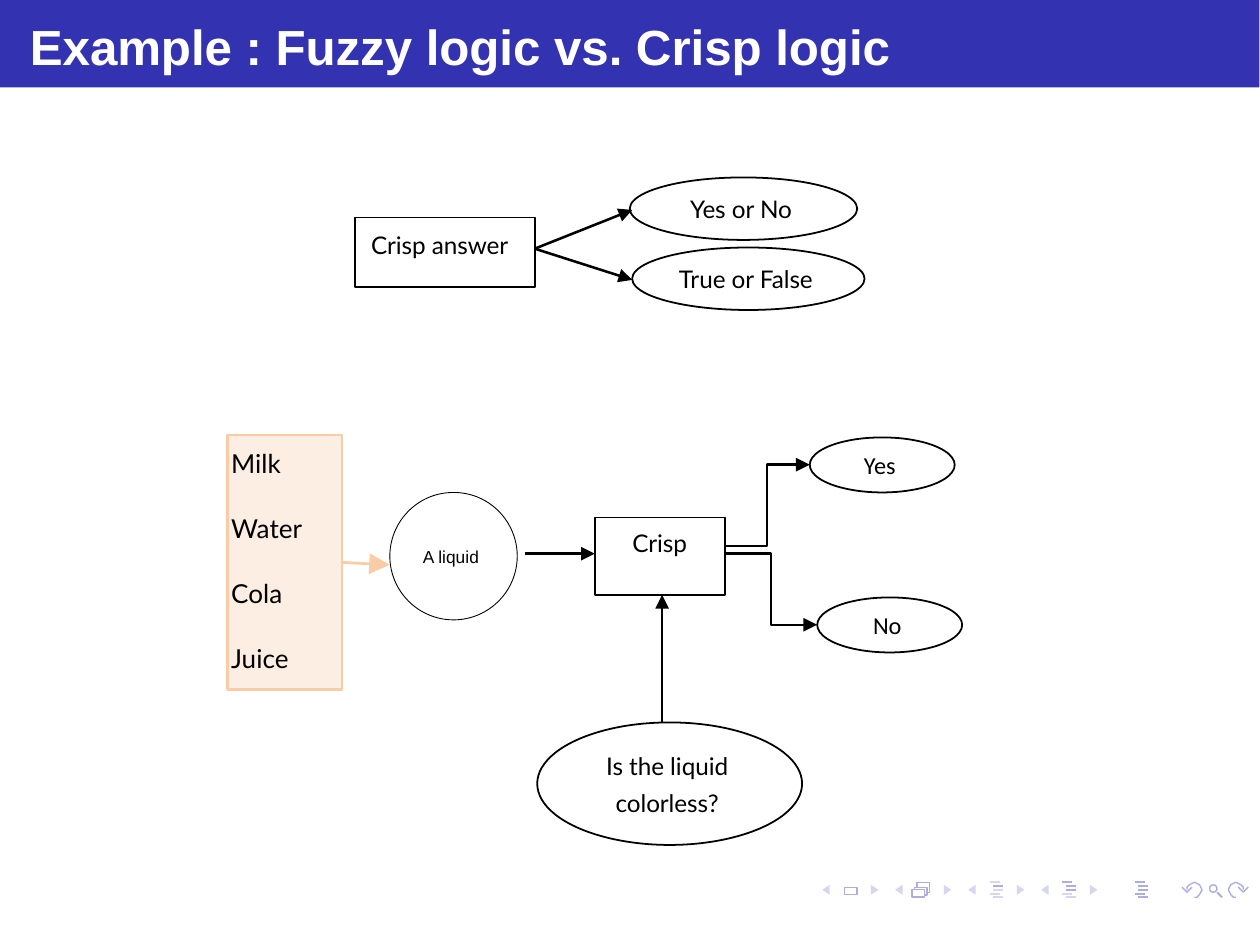
import lxml.etree
import pptx
import pptx.dml.color
import pptx.enum.shapes
import pptx.enum.text
import pptx.oxml.ns
import pptx.util

COLORS = {
    "header": "3333B2", "title": "FFFFFF", "ink": "000000",
    "list fill": "FCEEE2", "list line": "F9CCA7",
    "icon": "ADADE0", "pale icon": "D6D6EF",
}
SLIDE_WIDTH = pptx.util.Pt(363)
SLIDE_HEIGHT = pptx.util.Pt(272.5)
COLUMNS, ROWS = 504.17, 378.47
SHAPES = pptx.enum.shapes.MSO_SHAPE
CONNECTORS = pptx.enum.shapes.MSO_CONNECTOR
ALIGN = pptx.enum.text.PP_ALIGN
ANCHOR = pptx.enum.text.MSO_ANCHOR


def across(columns):
    return round(SLIDE_WIDTH * columns / COLUMNS)


def down(rows):
    return round(SLIDE_HEIGHT * rows / ROWS)


def color(name):
    return pptx.dml.color.RGBColor.from_string(COLORS[name])


def paint(shape, fill=None, line=None, width=0.5):
    shape.shadow.inherit = False
    if fill:
        shape.fill.solid()
        shape.fill.fore_color.rgb = color(fill)
    else:
        shape.fill.background()
    if line:
        shape.line.color.rgb = color(line)
        shape.line.width = pptx.util.Pt(width)
    else:
        shape.line.fill.background()


def add_box(slide, region, place, preset=SHAPES.RECTANGLE, **style):
    left, top, width, height = place
    shape = slide.shapes.add_shape(
        preset, across(region[0] + left), down(region[1] + top), across(width), down(height))
    paint(shape, **style)
    return shape


def write(shape, lines, size=7, font="Lato", ink="ink", bold=False, inset=None,
          spacing=1, wrap=False, lift=0):
    """Centre the lines, or start them at the (columns, rows) inset."""
    frame = shape.text_frame
    frame.word_wrap = wrap
    left, top = inset or (0, 0)
    frame.margin_left, frame.margin_top = across(left), down(top)
    frame.margin_right = 0 if inset else across(2)
    frame.margin_bottom = down(lift)
    frame.vertical_anchor = ANCHOR.TOP if inset else ANCHOR.MIDDLE
    for index, line in enumerate(lines):
        paragraph = frame.add_paragraph() if index else frame.paragraphs[0]
        paragraph.text = line
        paragraph.alignment = ALIGN.LEFT if inset else ALIGN.CENTER
        paragraph.line_spacing = spacing if index or wrap else 1
        paragraph.font.size = pptx.util.Pt(size)
        paragraph.font.name = font
        paragraph.font.bold = bold
        paragraph.font.color.rgb = color(ink)


def add_line(slide, region, start, end, kind=CONNECTORS.STRAIGHT, ink="ink", width=0.75,
             head=None):
    left, top = region[:2]
    connector = slide.shapes.add_connector(
        kind, across(left + start[0]), down(top + start[1]),
        across(left + end[0]), down(top + end[1]))
    connector.line.color.rgb = color(ink)
    connector.line.width = pptx.util.Pt(width)
    qualified = pptx.oxml.ns.qn
    if head:
        outline = connector._element.spPr.find(qualified("a:ln"))
        lxml.etree.SubElement(outline, qualified("a:tailEnd"),
                              type="triangle", w=head, len=head)
    lxml.etree.SubElement(connector._element.spPr, qualified("a:effectLst"))


def add_outline(slide, region, contours, closed=False, **style):
    contours = [[(across(region[0] + x), down(region[1] + y)) for x, y in contour]
                for contour in contours]
    builder = slide.shapes.build_freeform(*contours[0][0])
    for index, contour in enumerate(contours):
        if index:
            builder.move_to(*contour[0])
        builder.add_line_segments(contour[1:], close=closed)
    paint(builder.convert_to_shape(), **style)


def draw_header(slide, region):
    bar = add_box(slide, region, (0, 0, *region[2:]), fill="header")
    write(bar, ["Example : Fuzzy logic vs. Crisp logic"], size=14.2, font="Arial",
          ink="title", bold=True, inset=(12, 6.5))


def draw_crisp_answer(slide, region):
    answer = add_box(slide, region, (0, 16, 72, 28), line="ink")
    write(answer, ["Crisp answer"], inset=(6.5, 5))
    for label, place in (("Yes or No", (110, 0, 91, 25)), ("True or False", (111, 28, 93, 25))):
        oval = add_box(slide, region, place, SHAPES.OVAL, line="ink")
        write(oval, [label])
        add_line(slide, region, (72, 28.5), (111, place[1] + 13), head="sm")


def draw_decision(slide, region):
    # Liquids to choose from
    liquids = add_box(slide, region, (0, 0, 46, 102),
                      fill="list fill", line="list line", width=0.78)
    write(liquids, ["Milk", "Water", "Cola", "Juice"], size=7.5, inset=(1.5, 5), spacing=2.08)
    add_line(slide, region, (46, 51), (65, 52), ink="list line", width=0.78, head="med")

    # The chosen liquid and the test
    liquid = add_box(slide, region, (65, 23, 51, 51), SHAPES.OVAL, line="ink", width=0.25)
    write(liquid, ["A liquid"], size=5, font="Arial")
    add_line(slide, region, (119, 47.5), (147, 47.5), head="sm")
    test = add_box(slide, region, (147, 33, 52, 31), line="ink")
    write(test, ["Crisp"], inset=(15, 4.5))

    # Question
    question = add_box(slide, region, (124, 115, 106, 49), SHAPES.OVAL, line="ink")
    write(question, ["Is the liquid colorless?"], spacing=1.3, wrap=True, lift=3)
    add_line(slide, region, (174, 115), (174, 64), head="sm")

    # Outcomes
    for label, left, top, start in (("Yes", 233, 1, 44.5), ("No", 236, 65, 47.5)):
        oval = add_box(slide, region, (left, top, 58, 22), SHAPES.OVAL, line="ink")
        write(oval, [label], font="Calibri")
        add_line(slide, region, (199, start), (left, top + 11), CONNECTORS.ELBOW, head="sm")


def draw_navigation(slide, region):
    # Back and forward triangles
    for pair in range(4):
        back = 29.2 * pair
        forward = back + 19.5
        add_outline(slide, region,
                    [[(back + 3, 1), (back, 3), (back + 3, 5)],
                     [(forward, 1), (forward + 3, 3), (forward, 5)]],
                    closed=True, fill="pale icon")

    # Page and stacked pages
    for place in ((9, 2, 5, 3), (36, 3, 5, 3)):
        add_box(slide, region, place, line="icon", width=0.4)
    add_outline(slide, region,
                [[(37, 3), (37, 2), (42, 2), (42, 5), (41, 5)],
                 [(38, 2), (38, 0), (43, 0), (43, 4), (42, 4)]], line="icon", width=0.4)

    # Outline icons, with the dark rows of each
    for left, dark_rows in ((67, (1,)), (96, (0, 1, 2)), (125, range(5))):
        for row, indent in enumerate((0, 1.5, 1.5, 0, 1.5)):
            start, height = left + indent, 1.5 * row
            add_line(slide, region, (start, height), (start + 4, height), width=0.6,
                     ink="icon" if row in dark_rows else "pale icon")

    # Undo and redo arrows around a magnifier
    undo = [[(149, 6), (150, 6), (151, 5), (151.5, 4), (152, 3), (151.5, 2), (151, 1),
             (150, 0.5), (149, 0), (148, 0.5), (147, 1), (146, 2), (146, 3)],
            [(148, 2), (146, 4), (144, 2)]]
    redo = [[(314.5 - x, y) for x, y in contour] for contour in undo]
    for arrow in (undo, redo):
        add_outline(slide, region, arrow, line="icon", width=0.4)
    add_box(slide, region, (155, 1, 3, 3), SHAPES.OVAL, line="icon", width=0.4)
    add_line(slide, region, (158, 4), (160, 6), ink="icon", width=0.6)


def main():
    presentation = pptx.Presentation()
    presentation.slide_width = SLIDE_WIDTH
    presentation.slide_height = SLIDE_HEIGHT
    slide = presentation.slides.add_slide(presentation.slide_layouts[6])
    # Regions are left, top, width and height on the grid
    draw_navigation(slide, (329, 353, 170, 6))
    draw_header(slide, (0, 0, 504, 35))
    draw_crisp_answer(slide, (142, 71, 204, 53))
    draw_decision(slide, (91, 174, 294, 164))
    presentation.save("out.pptx")


if __name__ == "__main__":
    main()
